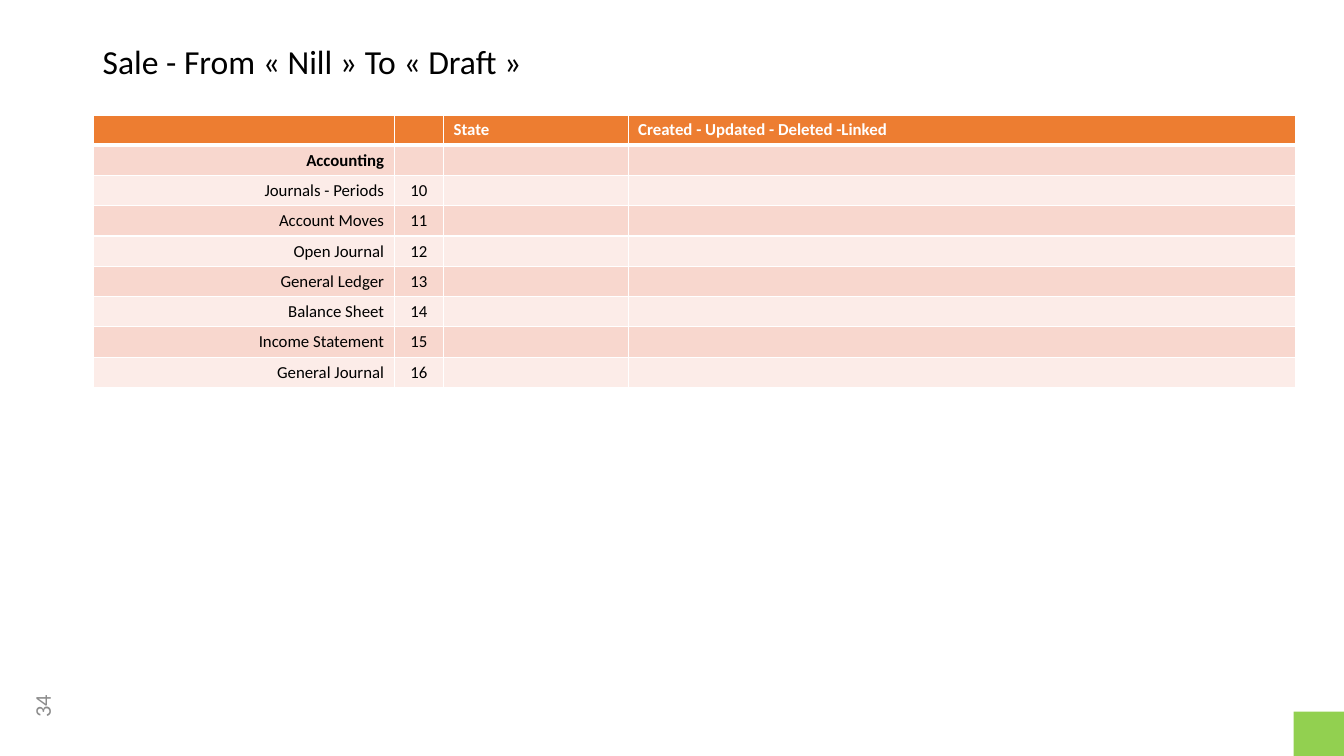
from lxml import etree
from pptx import Presentation
from pptx.dml.color import RGBColor
from pptx.enum import shapes, text
from pptx.oxml import ns
from pptx.util import Inches, Pt

# Content
TITLE = "Sale - From «\u00a0Nill\u00a0» To «\u00a0Draft\u00a0»"
PAGE_NUMBER = "34"
HEADER = ("", "", "State", "Created - Updated - Deleted -Linked")
SECTION = "Accounting"
FIRST_NUMBER = 10
ENTRIES = ("Journals - Periods", "Account Moves", "Open Journal", "General Ledger",
           "Balance Sheet", "Income Statement", "General Journal")

# Style
FONT = "Calibri"
CELL_SIZE = 12
BLACK = RGBColor(0x00, 0x00, 0x00)
WHITE = RGBColor(0xFF, 0xFF, 0xFF)
GREY = RGBColor(0x8C, 0x8C, 0x8C)
GREEN = RGBColor(0x92, 0xD0, 0x50)
ORANGE = RGBColor(0xED, 0x7D, 0x31)
BANDS = (RGBColor(0xF8, 0xD7, 0xCE), RGBColor(0xFC, 0xEC, 0xE8))
COLUMN_WIDTHS = (2.98, 0.49, 1.83, 6.62)
COLUMN_ALIGN = (text.PP_ALIGN.RIGHT, text.PP_ALIGN.CENTER,
                text.PP_ALIGN.LEFT, text.PP_ALIGN.LEFT)
ROW_HEIGHT = 0.3


def add_span(para, words, size, color, bold=False):
    span = para.add_run()
    span.text = words
    span.font.name = FONT
    span.font.size = Pt(size)
    span.font.bold = bold
    span.font.color.rgb = color


def add_text(page, place, words, size, color, align, anchor):
    box = page.shapes.add_textbox(*map(Inches, place))
    frame = box.text_frame
    frame.word_wrap = True
    frame.vertical_anchor = anchor
    para = frame.paragraphs[0]
    para.alignment = align
    add_span(para, words, size, color)
    return box


def add_border(cell, side, points):
    line = etree.SubElement(cell._tc.get_or_add_tcPr(), ns.qn("a:ln" + side),
                            w=str(Pt(points)))
    fill = etree.SubElement(line, ns.qn("a:solidFill"))
    etree.SubElement(fill, ns.qn("a:srgbClr"), val=str(WHITE))


def fill_cell(cell, words, row, column):
    heading = row == 0
    widths = {"L": 1, "R": 1, "T": 3 if row == 1 else 1, "B": 3 if heading else 1}
    for side, points in widths.items():
        add_border(cell, side, points)
    cell.fill.solid()
    cell.fill.fore_color.rgb = ORANGE if heading else BANDS[(row - 1) % 2]
    para = cell.text_frame.paragraphs[0]
    para.alignment = COLUMN_ALIGN[column]
    if words:
        add_span(para, words, CELL_SIZE, WHITE if heading else BLACK, bold=row < 2)
    else:
        # Empty cells keep the text size so that rows stay equally high
        etree.SubElement(para._p, ns.qn("a:endParaRPr"), sz=str(CELL_SIZE * 100))


def add_accounts(page):
    rows = [HEADER, (SECTION, "", "", "")]
    rows += [(name, str(number), "", "")
             for number, name in enumerate(ENTRIES, FIRST_NUMBER)]
    place = (0.93, 1.14, sum(COLUMN_WIDTHS), ROW_HEIGHT * len(rows))
    table = page.shapes.add_table(len(rows), len(HEADER), *map(Inches, place)).table
    for column, width in zip(table.columns, COLUMN_WIDTHS):
        column.width = Inches(width)
    for row, values in enumerate(rows):
        table.rows[row].height = Inches(ROW_HEIGHT)
        for column, words in enumerate(values):
            fill_cell(table.cell(row, column), words, row, column)


def main():
    deck = Presentation()
    deck.slide_width, deck.slide_height = Inches(13.33), Inches(7.5)
    page = deck.slides.add_slide(deck.slide_layouts[6])

    # Page number and corner block
    number = add_text(page, (0.04, 6.81, 0.75, 0.4), PAGE_NUMBER, 16, GREY,
                      text.PP_ALIGN.CENTER, text.MSO_ANCHOR.MIDDLE)
    number.rotation = 270
    corner = page.shapes.add_shape(shapes.MSO_SHAPE.RECTANGLE,
                                   *map(Inches, (12.83, 7.06, 0.5, 0.44)))
    corner.shadow.inherit = False
    corner.fill.solid()
    corner.fill.fore_color.rgb = GREEN
    corner.line.fill.background()

    # Title
    title = add_text(page, (0.92, 0.4, 11.5, 0.51), TITLE, 24, BLACK,
                     text.PP_ALIGN.LEFT, text.MSO_ANCHOR.TOP)
    title.text_frame.paragraphs[0].line_spacing = 0.9

    # Table
    add_accounts(page)
    deck.save("out.pptx")


if __name__ == "__main__":
    main()
